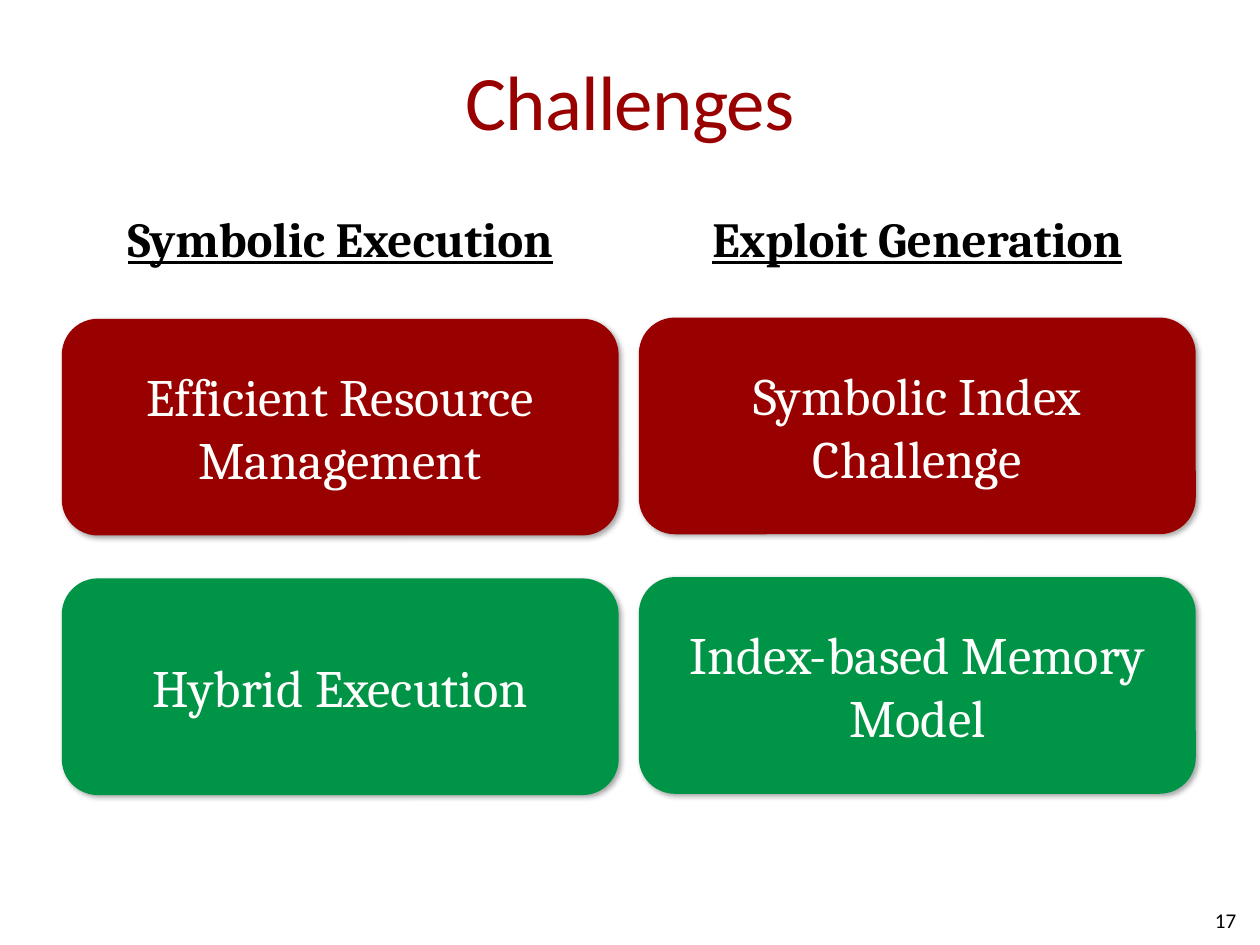
from lxml import etree
from pptx import Presentation
from pptx.dml.color import RGBColor
from pptx.enum.shapes import MSO_SHAPE
from pptx.enum.text import MSO_ANCHOR, MSO_AUTO_SIZE, PP_ALIGN
from pptx.oxml.ns import qn
from pptx.util import Inches, Pt

ROUND = MSO_SHAPE.ROUNDED_RECTANGLE
MIDDLE, BOTTOM = MSO_ANCHOR.MIDDLE, MSO_ANCHOR.BOTTOM
CENTER, RIGHT = PP_ALIGN.CENTER, PP_ALIGN.RIGHT
NO_FIT = MSO_AUTO_SIZE.NONE

RED, GREEN, WHITE, BLACK = "990000", "009446", "FFFFFE", "000000"
LEFT, WIDTH, COL_STEP = 0.49, 4.42, 4.58
HEAD_TOP, HEAD_HIGH = 1.68, 0.49
BOX_TOP, BOX_HIGH, ROW_STEP = 2.53, 1.72, 2.06
DROP = 0.01  # the right column sits slightly higher

COLUMNS = [
    ("Symbolic Execution", ["Efficient Resource Management", "Hybrid Execution"]),
    ("Exploit Generation", ["Symbolic Index\nChallenge", "Index-based Memory Model"]),
]


def color(code):
    return RGBColor.from_string(code)


def place(shape, left, top, width, height):
    shape.left, shape.top = Inches(left), Inches(top)
    shape.width, shape.height = Inches(width), Inches(height)


def write(shape, text, size, face, ink, align=CENTER, anchor=MIDDLE):
    """Fill the shape with one styled paragraph and return its font."""
    frame = shape.text_frame
    frame.word_wrap = True
    frame.auto_size = NO_FIT
    frame.vertical_anchor = anchor
    para = frame.paragraphs[0]
    para.text = text
    para.alignment = align
    para.space_before = Pt(0)
    for run in para.runs:
        font = run.font
        font.size, font.name = Pt(size), face
        font.color.rgb = color(ink)
    return font


def add_shadow(shape):
    effects = etree.SubElement(shape._element.spPr, qn("a:effectLst"))
    outer = etree.SubElement(
        effects, qn("a:outerShdw"), blurRad=str(Pt(3.1)), dist=str(Pt(1.8)),
        dir=str(45 * 60000), algn="tl", rotWithShape="0")
    tint = etree.SubElement(outer, qn("a:srgbClr"), val=BLACK)
    etree.SubElement(tint, qn("a:alpha"), val="35000")


def add_title(slide):
    title = slide.shapes.title
    place(title, 0.5, 0.17, 9, 1.25)
    title.text_frame.margin_left = title.text_frame.margin_right = 0
    write(title, "Challenges", 44, "Calibri", RED)
    title.text_frame.paragraphs[0].runs[0]._r.get_or_add_rPr().set("spc", "-50")


def add_head(holder, text, left):
    place(holder, left, HEAD_TOP, WIDTH, HEAD_HIGH)
    font = write(holder, text, 28, "Cambria", BLACK, anchor=BOTTOM)
    font.bold = font.underline = True


def add_card(slide, text, left, top, fill):
    card = slide.shapes.add_shape(
        ROUND, Inches(left), Inches(top), Inches(WIDTH), Inches(BOX_HIGH))
    card.fill.solid()
    card.fill.fore_color.rgb = color(fill)
    card.line.fill.background()
    add_shadow(card)
    write(card, text, 30, "Cambria", WHITE)


def add_number(slide, text):
    box = slide.shapes.add_textbox(
        Inches(7.58), Inches(7.1), Inches(2.33), Inches(0.4))
    write(box, text, 12, "Calibri", BLACK, align=RIGHT)


def main():
    deck = Presentation()
    deck.slide_width, deck.slide_height = Inches(10), Inches(7.5)
    slide = deck.slides.add_slide(deck.slide_layouts.get_by_name("Comparison"))
    title, *holders = slide.placeholders
    heads, spare = holders[::2], holders[1::2]
    for holder in spare:
        holder._element.getparent().remove(holder._element)

    add_title(slide)
    for col, (head, cards) in enumerate(COLUMNS):
        left = LEFT + col * COL_STEP
        add_head(heads[col], head, left)
        for row, (text, fill) in enumerate(zip(cards, (RED, GREEN))):
            top = BOX_TOP + row * ROW_STEP - col * DROP
            add_card(slide, text, left, top, fill)
    add_number(slide, "17")
    deck.save("out.pptx")


if __name__ == "__main__":
    main()
